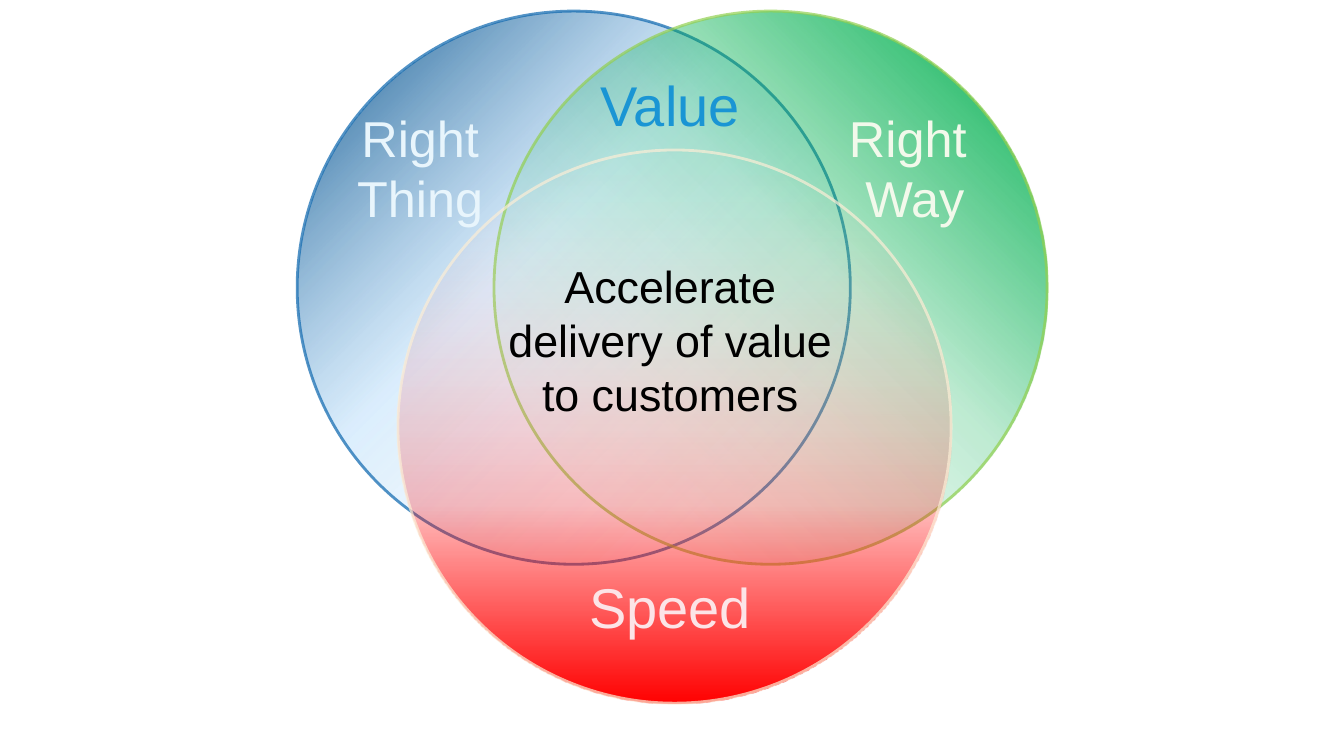
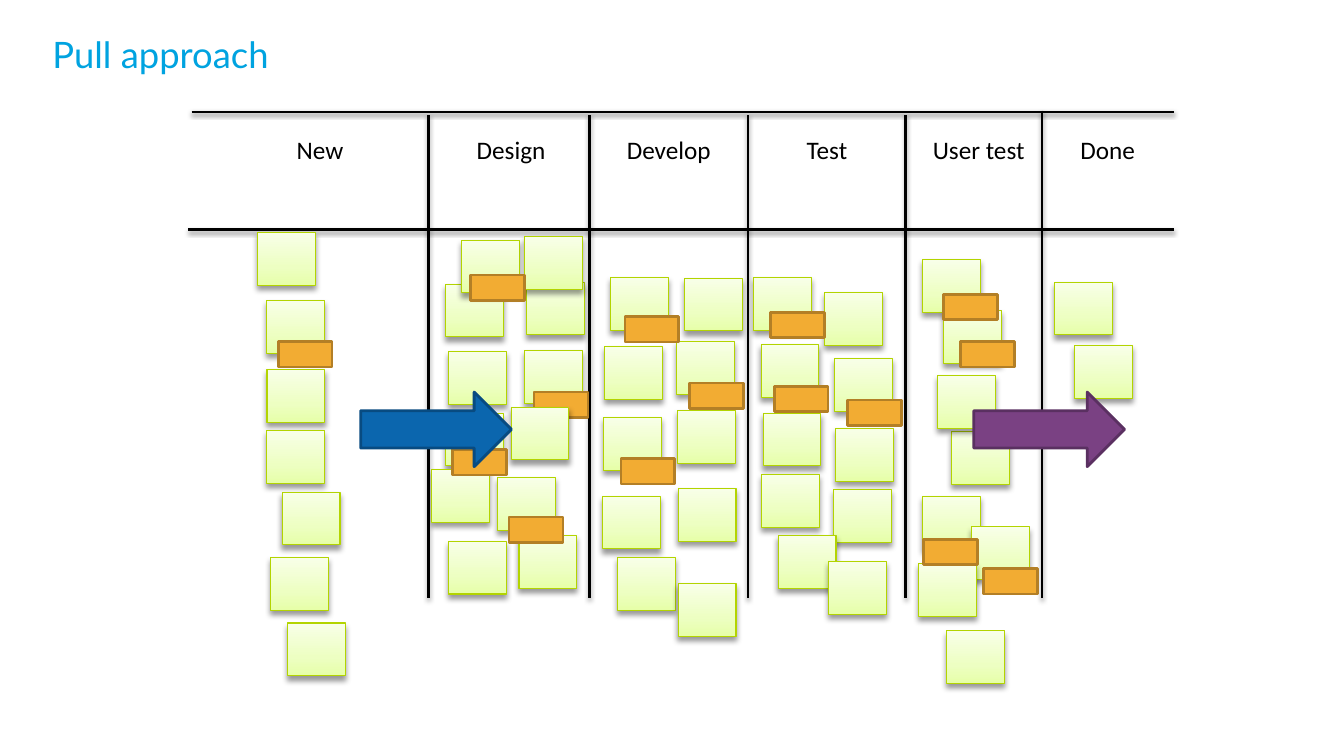
from dataclasses import dataclass
from itertools import cycle

from lxml.etree import SubElement
from pptx import Presentation
from pptx.dml.color import RGBColor as RGB
from pptx.enum.shapes import MSO_CONNECTOR as CONNECTOR, MSO_SHAPE as SHAPE
from pptx.enum.text import MSO_ANCHOR as ANCHOR, PP_ALIGN as ALIGN
from pptx.oxml.ns import qn
from pptx.util import Cm, Pt


@dataclass(frozen=True)
class Theme:
    title_font: str = "Lato"
    venn_font: str = "Arial"
    board_font: str = "Calibri"
    title_size: int = 26
    large_size: int = 40
    label_size: int = 36
    centre_size: int = 32
    heading_size: int = 18
    black: str = "000000"
    white: str = "FFFFFF"
    title: str = "00A3E0"
    value: str = "1A95D4"
    speed: str = "FCE4E7"
    way: str = "F2F9EB"
    thing: str = "E8F5FC"
    navy: str = "09528B"
    sky: str = "C2E2FB"
    blue: str = "0B66AE"
    blue_edge: str = "084B81"
    green: str = "00B050"
    green_edge: str = "92D050"
    red: str = "FF0000"
    red_edge: str = "FCEED6"
    note_low: str = "E6FFA8"
    note_mid: str = "EDFFC2"
    note_high: str = "F8FFE8"
    note_edge: str = "B3D400"
    tag: str = "F2AC33"
    tag_edge: str = "B37F26"
    purple: str = "7A4183"
    purple_edge: str = "5A3061"


theme = Theme()


def paint(shape, style):
    """Apply fill (solid, or stops of position, colour, opacity), line and shadow."""
    properties = shape._element.spPr
    if "fill" in style:
        shape.fill.solid()
        shape.fill.fore_color.rgb = RGB.from_string(style["fill"])
    if "stops" in style:
        shape.fill.gradient()
        shape.fill.gradient_angle = 360 - style["angle"]
        stop_list = properties.find(qn("a:gradFill")).find(qn("a:gsLst"))
        for old_stop in list(stop_list):
            stop_list.remove(old_stop)
        for position, colour, opacity in style["stops"]:
            stop = SubElement(stop_list, qn("a:gs"), pos=str(position * 1000))
            stop_colour = SubElement(stop, qn("a:srgbClr"), val=colour)
            SubElement(stop_colour, qn("a:alpha"), val=str(opacity * 1000))

    colour, width, opacity = style["line"]
    shape.line.color.rgb = RGB.from_string(colour)
    shape.line.width = Pt(width)
    line_colour = next(properties.find(qn("a:ln")).iter(qn("a:srgbClr")))
    SubElement(line_colour, qn("a:alpha"), val=str(opacity * 1000))

    effects = SubElement(properties, qn("a:effectLst"))
    if "shadow" in style:
        opacity, blur, distance = style["shadow"]
        shadow = SubElement(effects, qn("a:outerShdw"), blurRad=str(Pt(blur)),
                            dist=str(Pt(distance)), dir="5400000", rotWithShape="0")
        shadow_colour = SubElement(shadow, qn("a:srgbClr"), val=theme.black)
        SubElement(shadow_colour, qn("a:alpha"), val=str(opacity * 1000))


def write(box, text, name, size, colour, align=ALIGN.CENTER):
    frame = box.text_frame
    frame.word_wrap = True
    frame.text = text
    font_format = {"name": name, "size": Pt(size)}
    for para in frame.paragraphs:
        para.alignment = align
        for span in para.runs:
            for attribute, setting in font_format.items():
                setattr(span.font, attribute, setting)
            span.font.color.rgb = RGB.from_string(colour)


deck = Presentation()
deck.slide_width, deck.slide_height = Cm(33.87), Cm(19.05)
title_only, blank = deck.slide_layouts[5], deck.slide_layouts[6]

# Slide 1: three overlapping circles
page = deck.slides.add_slide(blank)
diameter = Cm(13.94)
circles = [
    (7.49, 0.28, 45, theme.blue,
     [(0, theme.navy, 100), (42, theme.sky, 60), (100, theme.white, 0)]),
    (12.45, 0.28, 135, theme.green_edge,
     [(0, theme.green, 100), (43, theme.green, 26), (100, theme.white, 0)]),
    (10.03, 3.78, 270, theme.red_edge,
     [(0, theme.red, 100), (36, theme.red, 25), (100, theme.white, 0)]),
]
for left, top, angle, edge, stops in circles:
    circle = page.shapes.add_shape(SHAPE.OVAL, Cm(left), Cm(top), diameter, diameter)
    paint(circle, {"stops": stops, "angle": angle, "line": (edge, 2, 70)})

labels = [
    ("Speed", 13.26, 14.3, 7.26, 1.96, theme.large_size, theme.speed),
    ("Value", 14.45, 1.65, 4.88, 1.96, theme.large_size, theme.value),
    ("Right \nWay", 19.69, 2.57, 6.73, 3.33, theme.label_size, theme.way),
    ("Right\vThing", 6.96, 2.57, 7.26, 3.33, theme.label_size, theme.thing),
    ("Accelerate delivery of value to customers", 12.45, 6.4, 8.89, 4.37,
     theme.centre_size, theme.black),
]
for text, left, top, width, height, size, colour in labels:
    box = page.shapes.add_textbox(Cm(left), Cm(top), Cm(width), Cm(height))
    write(box, text, theme.venn_font, size, colour)

# Slide 2: board with columns of notes
page = deck.slides.add_slide(title_only)
title = page.shapes.title
title_format = {"left": Cm(1.32), "top": Cm(0.81), "width": Cm(31.22), "height": Cm(2.11)}
for attribute, setting in title_format.items():
    setattr(title, attribute, setting)
frame_format = {"margin_left": 0, "margin_top": 0, "margin_right": 0,
                "margin_bottom": 0, "vertical_anchor": ANCHOR.TOP}
for attribute, setting in frame_format.items():
    setattr(title.text_frame, attribute, setting)
write(title, "Pull approach", theme.title_font, theme.title_size, theme.title, ALIGN.LEFT)

rules = [(4.83, 2.82, 29.59, 2.82), (4.75, 5.79, 29.59, 5.79), (26.26, 2.79, 26.26, 15.08)]
rules += [(x, 2.9, x, 15.08) for x in (10.8, 14.86, 18.85, 22.83)]
rule_style = {"line": (theme.black, 2, 100), "shadow": (38, 3.1, 1.6)}
for ends in rules:
    rule = page.shapes.add_connector(CONNECTOR.STRAIGHT, *[Cm(end) for end in ends])
    paint(rule, rule_style)

note_style = {
    "stops": [(0, theme.note_low, 100), (35, theme.note_mid, 100), (100, theme.note_high, 100)],
    "angle": 270, "line": (theme.note_edge, 0.75, 100), "shadow": (40, 4, 3),
}
tag_style = {"fill": theme.tag, "line": (theme.tag_edge, 2, 100)}
note_kind = (1.46, 1.33, note_style)
tag_kind = (1.36, 0.64, tag_style)

# Heading, left, width, then layers of notes and tags in turn
columns = [
    ("New", 5.74, 4.65, [
        [(6.5, 5.87), (6.73, 9.32), (6.71, 7.57), (6.71, 10.85), (7.11, 12.4),
         (6.83, 14.05), (7.24, 15.7)],
        [(7.01, 8.61)],
    ]),
    ("Design", 10.85, 4.06, [
        [(11.23, 7.16), (13.23, 8.84), (13.26, 7.11), (11.3, 8.86), (11.23, 10.41),
         (11.63, 6.05), (13.21, 5.97)],
        [(11.86, 6.93), (13.46, 9.88)],
        [(12.88, 10.26), (10.87, 11.84), (12.55, 12.04), (13.08, 13.49), (11.3, 13.64)],
        [(11.4, 11.33), (12.83, 13.03)],
    ]),
    ("Develop", 14.86, 3.99, [
        [(15.39, 6.99), (17.25, 7.01), (17.07, 10.34), (17.04, 8.61), (15.24, 8.74),
         (15.21, 10.52), (15.19, 12.5), (15.57, 14.05), (17.09, 12.32), (17.09, 14.71)],
        [(15.75, 7.98), (17.37, 9.65), (15.65, 11.56)],
    ]),
    ("Test", 18.87, 3.94, [
        [(19, 6.99), (19.23, 10.41), (19.18, 8.69), (20.78, 7.37), (21.06, 10.8),
         (21.03, 9.04), (19.2, 11.96), (21.01, 12.34), (19.61, 13.49), (20.88, 14.15)],
        [(19.41, 7.87), (19.51, 9.73), (21.36, 10.08)],
    ]),
    ("User test", 23.09, 3.15, [
        [(23.24, 6.55), (23.77, 7.82), (23.98, 10.87), (23.62, 9.47), (23.24, 12.5),
         (24.49, 13.28), (23.85, 15.9), (23.16, 14.2)],
        [(23.77, 7.42), (24.21, 8.61), (23.27, 13.59), (24.79, 14.33)],
    ]),
    ("Done", 26.24, 3.35, [[(26.57, 7.11), (27.08, 8.71)]]),
]
for heading, left, width, layers in columns:
    box = page.shapes.add_textbox(Cm(left), Cm(3.25), Cm(width), Cm(1.02))
    write(box, heading, theme.board_font, theme.heading_size, theme.black)
    for places, (card_width, card_height, style) in zip(layers, cycle([note_kind, tag_kind])):
        for x, y in places:
            card = page.shapes.add_shape(SHAPE.RECTANGLE, Cm(x), Cm(y),
                                         Cm(card_width), Cm(card_height))
            paint(card, style)

arrows = [(9.09, theme.blue, theme.blue_edge), (24.54, theme.purple, theme.purple_edge)]
for left, colour, edge in arrows:
    arrow = page.shapes.add_shape(SHAPE.RIGHT_ARROW, Cm(left), Cm(9.88), Cm(3.8), Cm(1.88))
    paint(arrow, {"fill": colour, "line": (edge, 2, 100)})

deck.save("out.pptx")
